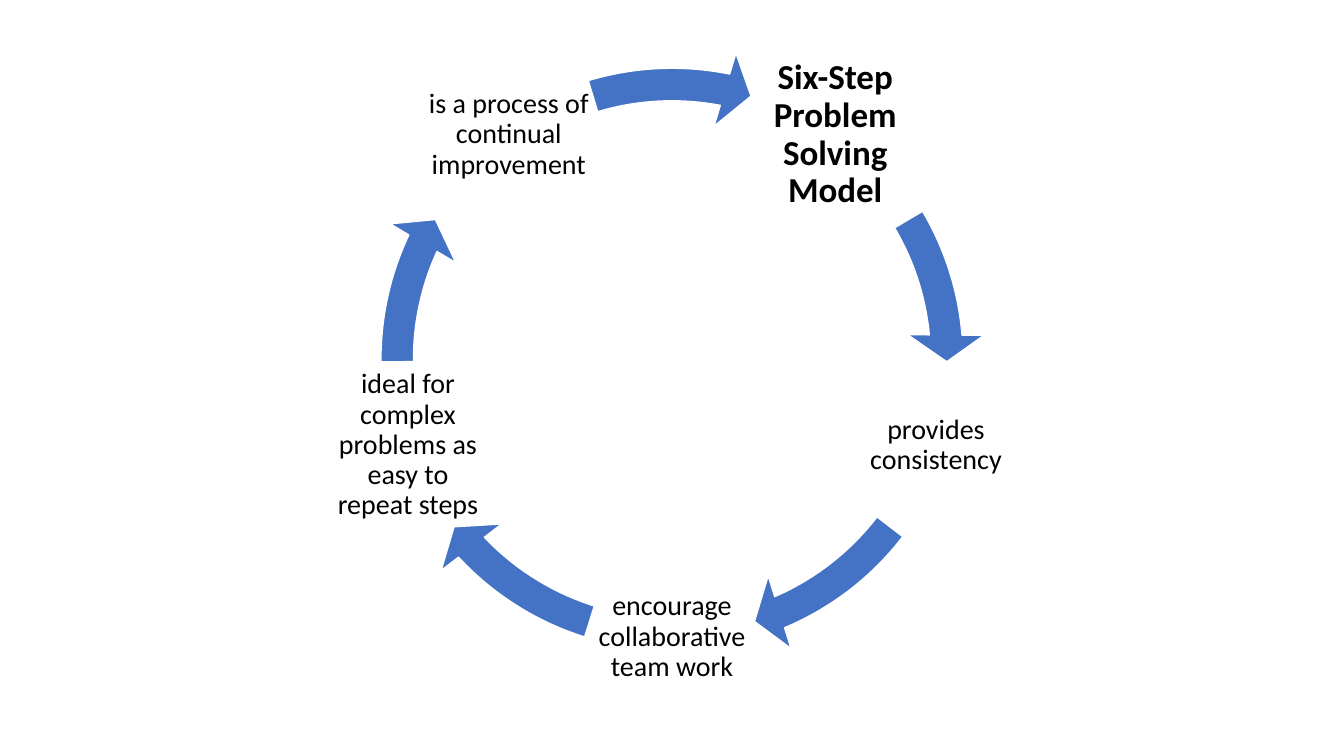
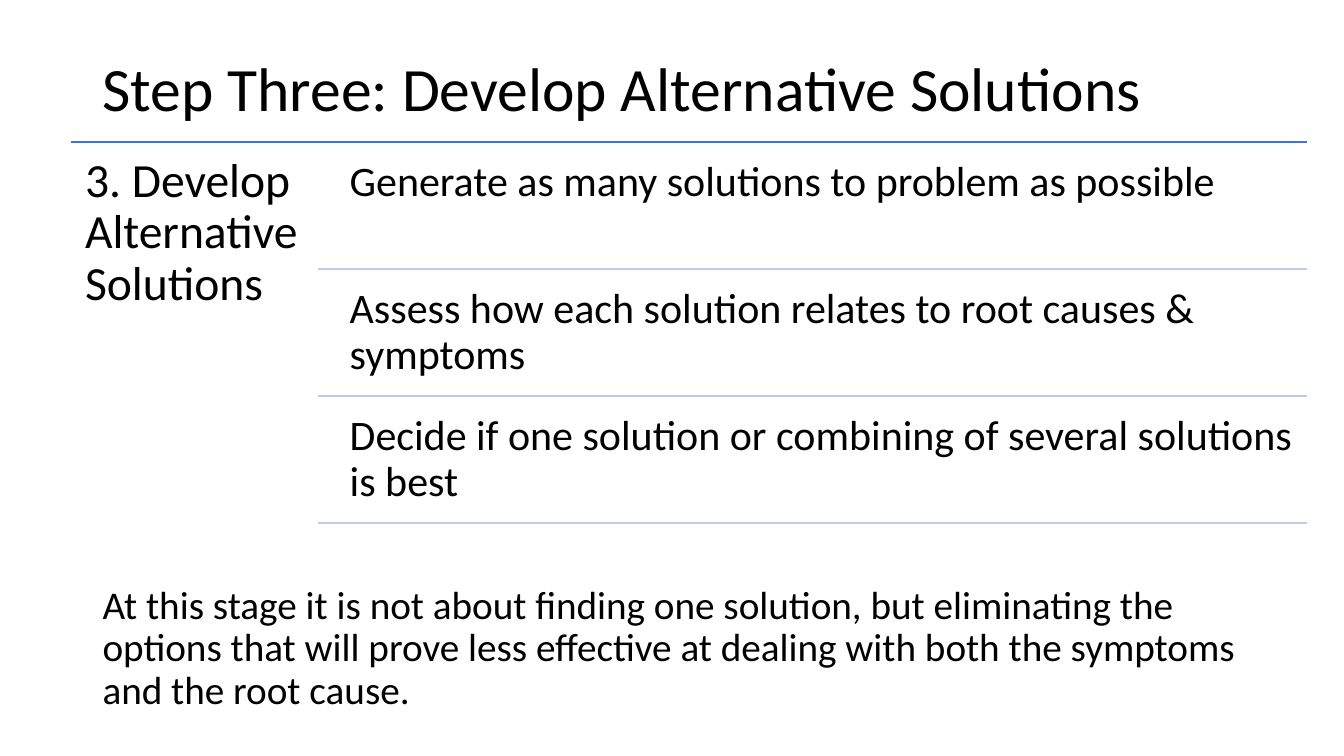
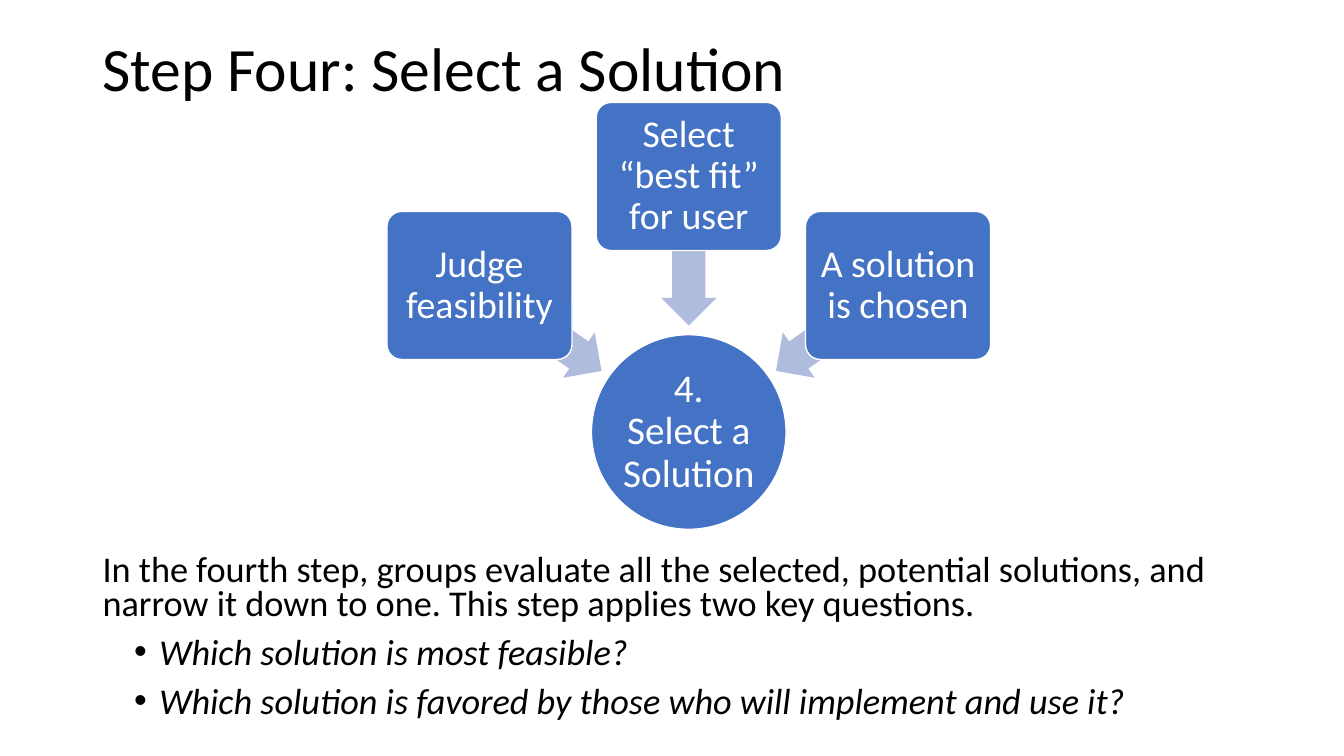
from math import cos, radians, sin

from lxml import etree
from pptx import Presentation
from pptx.dml.color import RGBColor
from pptx.enum.shapes import MSO_CONNECTOR, MSO_SHAPE
from pptx.enum.text import MSO_ANCHOR, PP_ALIGN
from pptx.oxml.ns import qn
from pptx.util import Pt

STRAIGHT = MSO_CONNECTOR.STRAIGHT
CIRCULAR_ARROW = MSO_SHAPE.CIRCULAR_ARROW
LEFT_ARROW = MSO_SHAPE.LEFT_ARROW
OVAL = MSO_SHAPE.OVAL
ROUNDED_RECTANGLE = MSO_SHAPE.ROUNDED_RECTANGLE
TOP = MSO_ANCHOR.TOP
MIDDLE = MSO_ANCHOR.MIDDLE
LEFT = PP_ALIGN.LEFT
CENTER = PP_ALIGN.CENTER

COLORS = {
    "text": "000000",
    "white": "FFFFFF",
    "accent": "4472C4",
    "pale_arrow": "B0BCDE",
    "divider": "C1C9E4",
}
FONT = "Calibri"
BOX_INSETS = (7.2, 3.6)

CYCLE_STEPS = [
    {"text": "Six-Step Problem Solving Model", "size": 25, "bold": True,
     "arrow": (212.946, 197.65)},
    {"text": "provides consistency", "size": 20, "bold": False,
     "arrow": (40.161, 22.521)},
    {"text": "encourage collaborative team work", "size": 20, "bold": False,
     "arrow": (82.123, 64.483)},
    {"text": "ideal for complex problems as easy to repeat steps", "size": 20, "bold": False,
     "arrow": (122.994, 107.698)},
    {"text": "is a process of continual improvement", "size": 20, "bold": False,
     "arrow": (168.671, 151.973)},
]

STEP_THREE = {
    "title": "Step Three: Develop Alternative Solutions",
    "heading": "3. Develop Alternative Solutions",
    "tasks": [
        "Generate as many solutions to problem as possible",
        "Assess how each solution relates to root causes & symptoms",
        "Decide if one solution or combining of several solutions is best",
    ],
    "body": "At this stage it is not about finding one solution, but eliminating the options "
            "that will prove less effective at dealing with both the symptoms and the root cause.",
}

STEP_FOUR = {
    "title": "Step Four: Select a Solution",
    "hub": "4. Select a Solution",
    "spokes": [
        ("Judge feasibility", 215),
        ("Select “best fit” for user", 270),
        ("A solution is chosen", 325),
    ],
    "body": "In the fourth step, groups evaluate all the selected, potential solutions, and "
            "narrow it down to one. This step applies two key questions.",
    "questions": [
        "Which solution is most feasible?",
        "Which solution is favored by those who will implement and use it?",
    ],
}


def rgb(name):
    return RGBColor.from_string(COLORS[name])


def polar(center, radius, angle):
    return (center[0] + radius * cos(radians(angle)),
            center[1] + radius * sin(radians(angle)))


def centered(center, width, height):
    return center[0] - width / 2, center[1] - height / 2, width, height


def points(box):
    return [Pt(value) for value in box]


def write(shape, lines, size, color="text", align=LEFT, anchor=TOP, insets=BOX_INSETS,
          spacing=0.9, before=0, bold=False):
    frame = shape.text_frame
    frame.word_wrap = True
    frame.vertical_anchor = anchor
    frame.margin_left = frame.margin_right = Pt(insets[0])
    frame.margin_top = frame.margin_bottom = Pt(insets[1])
    frame.text = "\n".join(lines)
    for paragraph in frame.paragraphs:
        paragraph.alignment = align
        paragraph.line_spacing = spacing
        paragraph.space_before = Pt(before)
        for run in paragraph.runs:
            run.font.name = FONT
            run.font.size = Pt(size)
            run.font.bold = bold
            run.font.color.rgb = rgb(color)
    return frame


def add_text(slide, box, lines, size, **style):
    return write(slide.shapes.add_textbox(*points(box)), lines, size, **style)


def add_title(slide, top, text):
    add_text(slide, (66, top, 852.5, 72.7), [text], 44, anchor=MIDDLE)


def add_filled(slide, kind, box, fill, outline=None, adjustments=()):
    shape = slide.shapes.add_shape(kind, *points(box))
    shape.shadow.inherit = False
    shape.fill.solid()
    shape.fill.fore_color.rgb = rgb(fill)
    if outline:
        shape.line.color.rgb = rgb(outline)
        shape.line.width = Pt(1)
    else:
        shape.line.fill.background()
    for index, value in enumerate(adjustments):
        shape.adjustments[index] = value
    return shape


def add_rule(slide, left, right, y, color):
    rule = slide.shapes.add_connector(STRAIGHT, Pt(left), Pt(y), Pt(right), Pt(y))
    rule.line.color.rgb = rgb(color)
    rule.line.width = Pt(1)
    etree.SubElement(rule._element.spPr, qn("a:effectLst"))


def add_bullet(paragraph):
    properties = paragraph._p.get_or_add_pPr()
    properties.set("marL", str(Pt(40.5)))
    properties.set("indent", str(Pt(-18)))
    etree.SubElement(properties, qn("a:buFont")).set("typeface", "Arial")
    etree.SubElement(properties, qn("a:buChar")).set("char", "•")


def build_cycle(slide):
    center = (480, 256.7)
    for index, step in enumerate(CYCLE_STEPS):
        label_center = polar(center, 198.3, -54 + index * 360 / len(CYCLE_STEPS))
        add_text(slide, centered(label_center, 118.8, 118.8), [step["text"]], step["size"],
                 bold=step["bold"], align=CENTER, anchor=MIDDLE, insets=(2, 2))
        add_filled(slide, CIRCULAR_ARROW, centered(center, 447.1, 447.1), "accent", "white",
                   (0.052, 3.356, *step["arrow"], 0.061))


def build_step_three(slide):
    right, top = 933.8, 101.5
    task_top, task_height, task_pitch = 105.8, 86.4, 90.72
    add_title(slide, 28.8, STEP_THREE["title"])
    add_text(slide, (66.2, 414.7, 828, 107.3), [STEP_THREE["body"]], 28, before=10)
    add_rule(slide, 50.6, right, top, "accent")
    add_text(slide, (50.6, top, 176.6, 276.5), [STEP_THREE["heading"]], 34, insets=(10.2, 10.2))
    for index, task in enumerate(STEP_THREE["tasks"]):
        y = task_top + index * task_pitch
        add_text(slide, (240.8, y, 693, task_height), [task], 30, insets=(9, 9))
        add_rule(slide, 227.2, right, y + task_height, "divider")


def build_step_four(slide):
    hub_center = (492, 308.6)
    add_title(slide, 14.4, STEP_FOUR["title"])
    frame = add_text(slide, (66.2, 392.4, 828, 129.6),
                     [STEP_FOUR["body"], *STEP_FOUR["questions"]], 25.9,
                     spacing=0.8, before=10)
    for paragraph in frame.paragraphs[1:]:
        add_bullet(paragraph)
        paragraph.runs[0].font.italic = True
    hub = add_filled(slide, OVAL, centered(hub_center, 139, 139), "accent", "white")
    write(hub, [STEP_FOUR["hub"]], 28, color="white", align=CENTER, anchor=MIDDLE,
          insets=(1.4, 1.4))
    for label, angle in STEP_FOUR["spokes"]:
        arrow_box = centered(polar(hub_center, 129.4, angle), 106.6, 39.6)
        arrow = add_filled(slide, LEFT_ARROW, arrow_box, "pale_arrow", adjustments=(0.6, 0.5))
        arrow.rotation = angle
        card_box = centered(polar(hub_center, 182.5, angle), 132.2, 105.8)
        card = add_filled(slide, ROUNDED_RECTANGLE, card_box, "accent", "white", (0.1,))
        write(card, [label], 27, color="white", align=CENTER, anchor=MIDDLE, insets=(4, 4))


presentation = Presentation()
presentation.slide_width = Pt(960)
presentation.slide_height = Pt(540)
blank_layout = presentation.slide_layouts[6]
for build in (build_cycle, build_step_three, build_step_four):
    build(presentation.slides.add_slide(blank_layout))
presentation.save("out.pptx")
